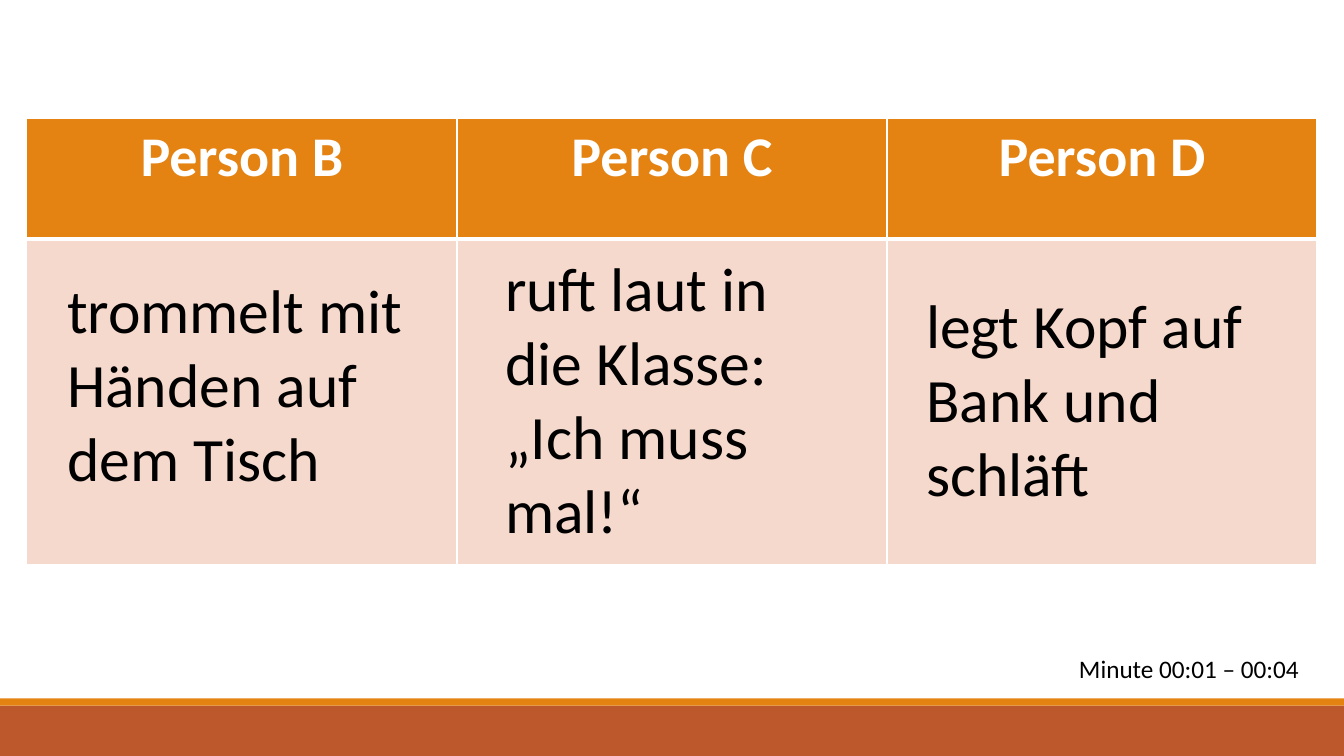
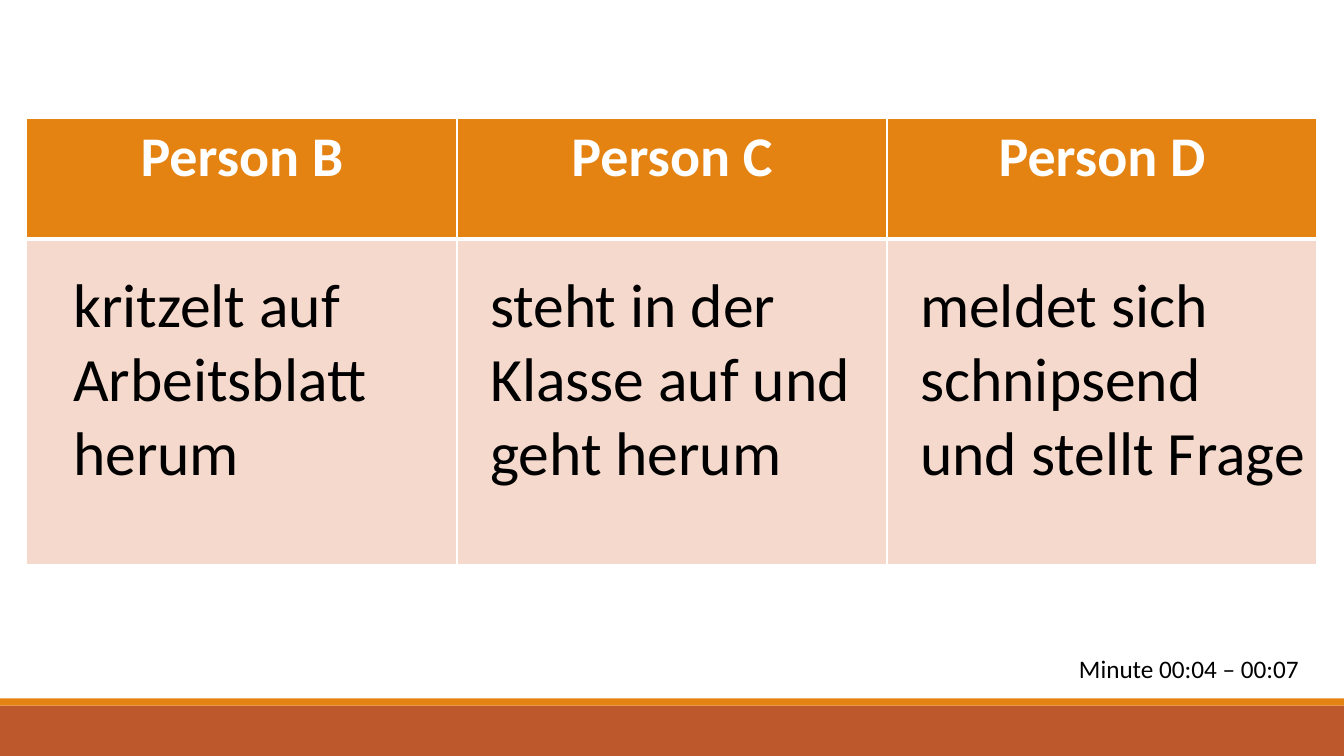
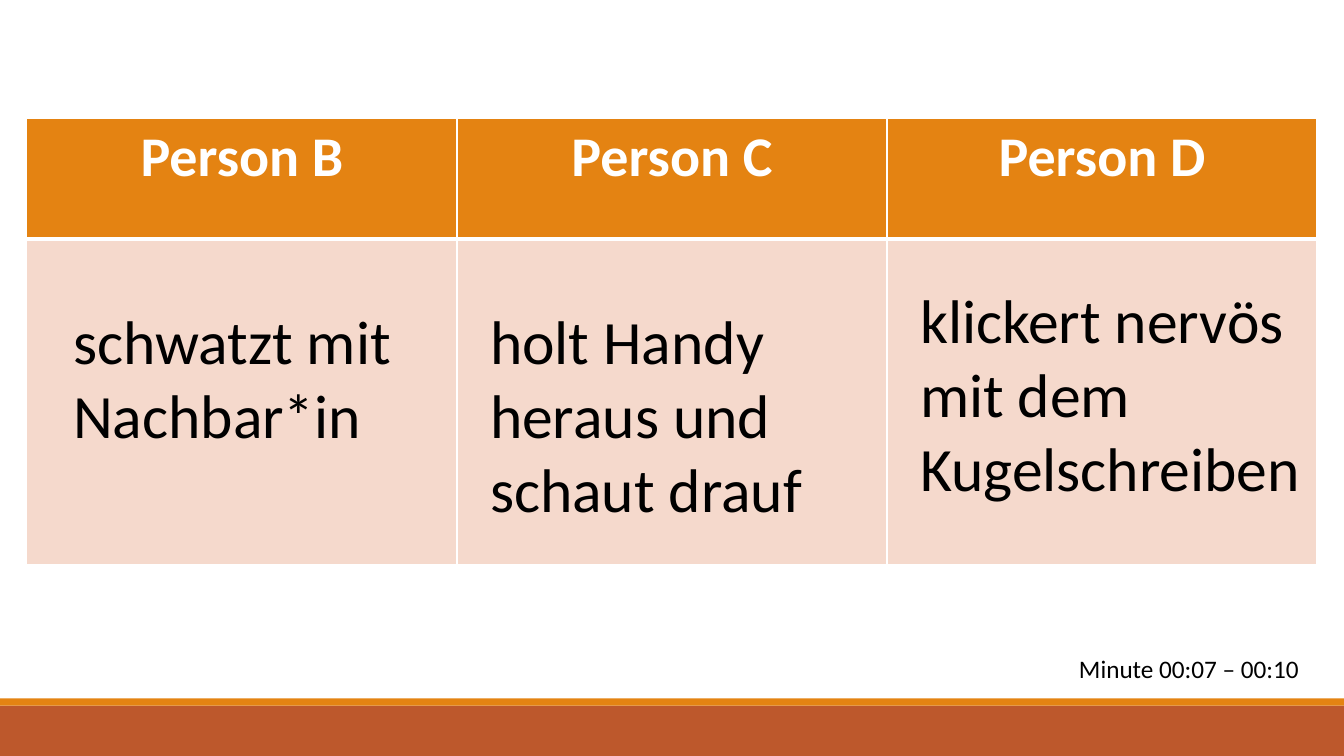
from dataclasses import dataclass

from lxml.etree import SubElement
from pptx import Presentation
from pptx.dml.color import RGBColor
from pptx.enum.shapes import MSO_SHAPE
from pptx.enum.text import MSO_AUTO_SIZE as AutoSize, MSO_ANCHOR as Anchor, PP_ALIGN as Align
from pptx.oxml.ns import qn
from pptx.util import Inches, Pt


@dataclass(frozen=True)
class Theme:
    font: str = "Calibri"
    rust: str = "BD582C"
    orange: str = "E48312"
    blush: str = "F5D9CC"
    white: str = "FFFFFF"
    black: str = "000000"
    heading_size: int = 40
    body_size: int = 44
    note_size: int = 18
    thin: int = 1
    thick: int = 3


@dataclass(frozen=True)
class Behaviour:
    """What one person does; inset and drop are measured from the body cell's corner."""
    text: str
    inset: float
    drop: float
    width: float
    lines: int = 3


@dataclass(frozen=True)
class Scene:
    minutes: str
    behaviours: tuple[Behaviour, ...]


THEME = Theme()
SLIDE_WIDTH, SLIDE_HEIGHT = 13.33, 7.5
PERSONS = ("Person B", "Person C", "Person D")

MARGIN = 0.02 * SLIDE_WIDTH
COLUMN_WIDTH = (SLIDE_WIDTH - 2 * MARGIN) / len(PERSONS)
TABLE_TOP = 1.17
ROW_HEIGHTS = (1.2, 3.23)
BODY_TOP = TABLE_TOP + ROW_HEIGHTS[0]
LINE_HEIGHT, BOX_PADDING = 0.74, 0.1
BAND_HEIGHT, STRIPE_HEIGHT = 0.5, 0.07
NOTE_TOP, NOTE_WIDTH, NOTE_HEIGHT = 6.43, 2.46, 0.4

SCENES = (
    Scene("00:01 – 00:04", (
        Behaviour("trommelt mit Händen auf dem Tisch", 0.3, 0.28, 3.89),
        Behaviour("ruft laut in die Klasse:\n„Ich muss mal!“", 0.38, 0.06, 3.17, lines=4),
        Behaviour("legt Kopf auf Bank und schläft", 0.29, 0.43, 3.67),
    )),
    Scene("00:04 – 00:07", (
        Behaviour("kritzelt auf Arbeitsblatt herum", 0.36, 0.22, 3.67),
        Behaviour("steht in der Klasse auf und geht herum", 0.23, 0.22, 3.8),
        Behaviour("meldet sich schnipsend und stellt Frage", 0.23, 0.22, 4.04),
    )),
    Scene("00:07 – 00:10", (
        Behaviour("schwatzt mit Nachbar*in", 0.36, 0.59, 3.67, lines=2),
        Behaviour("holt Handy heraus und schaut drauf", 0.23, 0.59, 3.8),
        Behaviour("klickert nervös mit dem Kugelschreiben", 0.23, 0.38, 4.04),
    )),
)


def write_text(frame, text: str, *, size: int, color: str = THEME.black,
               bold: bool = False, align: Align = Align.LEFT) -> None:
    frame.text = text
    for paragraph in frame.paragraphs:
        paragraph.alignment = align
        font = paragraph.runs[0].font
        font.name, font.size, font.bold = THEME.font, Pt(size), bold
        font.color.rgb = RGBColor.from_string(color)


def add_text_box(slide, text: str, left: float, top: float, width: float, height: float,
                 *, size: int) -> None:
    box = slide.shapes.add_textbox(Inches(left), Inches(top), Inches(width), Inches(height))
    frame = box.text_frame
    frame.word_wrap = True
    frame.auto_size = AutoSize.SHAPE_TO_FIT_TEXT
    write_text(frame, text, size=size)


def add_band(slide, top: float, height: float, color: str) -> None:
    band = slide.shapes.add_shape(MSO_SHAPE.RECTANGLE, 0, Inches(top),
                                  Inches(SLIDE_WIDTH), Inches(height))
    band.shadow.inherit = False
    band.fill.solid()
    band.fill.fore_color.rgb = RGBColor.from_string(color)
    band.line.fill.background()


def format_cell(cell, fill: str, *, top: int = THEME.thin, bottom: int = THEME.thin) -> None:
    """Fill the cell and draw white borders; top and bottom are widths in points."""
    properties = cell._tc.get_or_add_tcPr()
    widths = {"a:lnL": THEME.thin, "a:lnR": THEME.thin, "a:lnT": top, "a:lnB": bottom}
    for tag, width in widths.items():
        line = SubElement(properties, qn(tag), w=str(Pt(width)))
        SubElement(SubElement(line, qn("a:solidFill")), qn("a:srgbClr"), val=THEME.white)
    cell.fill.solid()
    cell.fill.fore_color.rgb = RGBColor.from_string(fill)
    cell.vertical_anchor = Anchor.TOP


def add_person_table(slide) -> None:
    table = slide.shapes.add_table(
        len(ROW_HEIGHTS), len(PERSONS), Inches(MARGIN), Inches(TABLE_TOP),
        Inches(COLUMN_WIDTH * len(PERSONS)), Inches(sum(ROW_HEIGHTS))).table
    for row, height in zip(table.rows, ROW_HEIGHTS):
        row.height = Inches(height)
    for index, person in enumerate(PERSONS):
        table.columns[index].width = Inches(COLUMN_WIDTH)
        heading, body = table.cell(0, index), table.cell(1, index)
        format_cell(heading, THEME.orange, bottom=THEME.thick)
        format_cell(body, THEME.blush, top=THEME.thick)
        write_text(heading.text_frame, person, size=THEME.heading_size,
                   color=THEME.white, bold=True, align=Align.CENTER)


def add_scene(presentation, scene: Scene) -> None:
    blank_layout = presentation.slide_layouts[6]
    slide = presentation.slides.add_slide(blank_layout)
    band_top = SLIDE_HEIGHT - BAND_HEIGHT
    add_band(slide, band_top, BAND_HEIGHT, THEME.rust)
    add_band(slide, band_top - STRIPE_HEIGHT, STRIPE_HEIGHT, THEME.orange)
    add_person_table(slide)
    for column, behaviour in enumerate(scene.behaviours):
        add_text_box(slide, behaviour.text,
                     MARGIN + column * COLUMN_WIDTH + behaviour.inset,
                     BODY_TOP + behaviour.drop, behaviour.width,
                     behaviour.lines * LINE_HEIGHT + BOX_PADDING, size=THEME.body_size)
    add_text_box(slide, f"Minute {scene.minutes}", SLIDE_WIDTH - MARGIN - NOTE_WIDTH,
                 NOTE_TOP, NOTE_WIDTH, NOTE_HEIGHT, size=THEME.note_size)


def main() -> None:
    presentation = Presentation()
    presentation.slide_width = Inches(SLIDE_WIDTH)
    presentation.slide_height = Inches(SLIDE_HEIGHT)
    for scene in SCENES:
        add_scene(presentation, scene)
    presentation.save("out.pptx")


if __name__ == "__main__":
    main()
